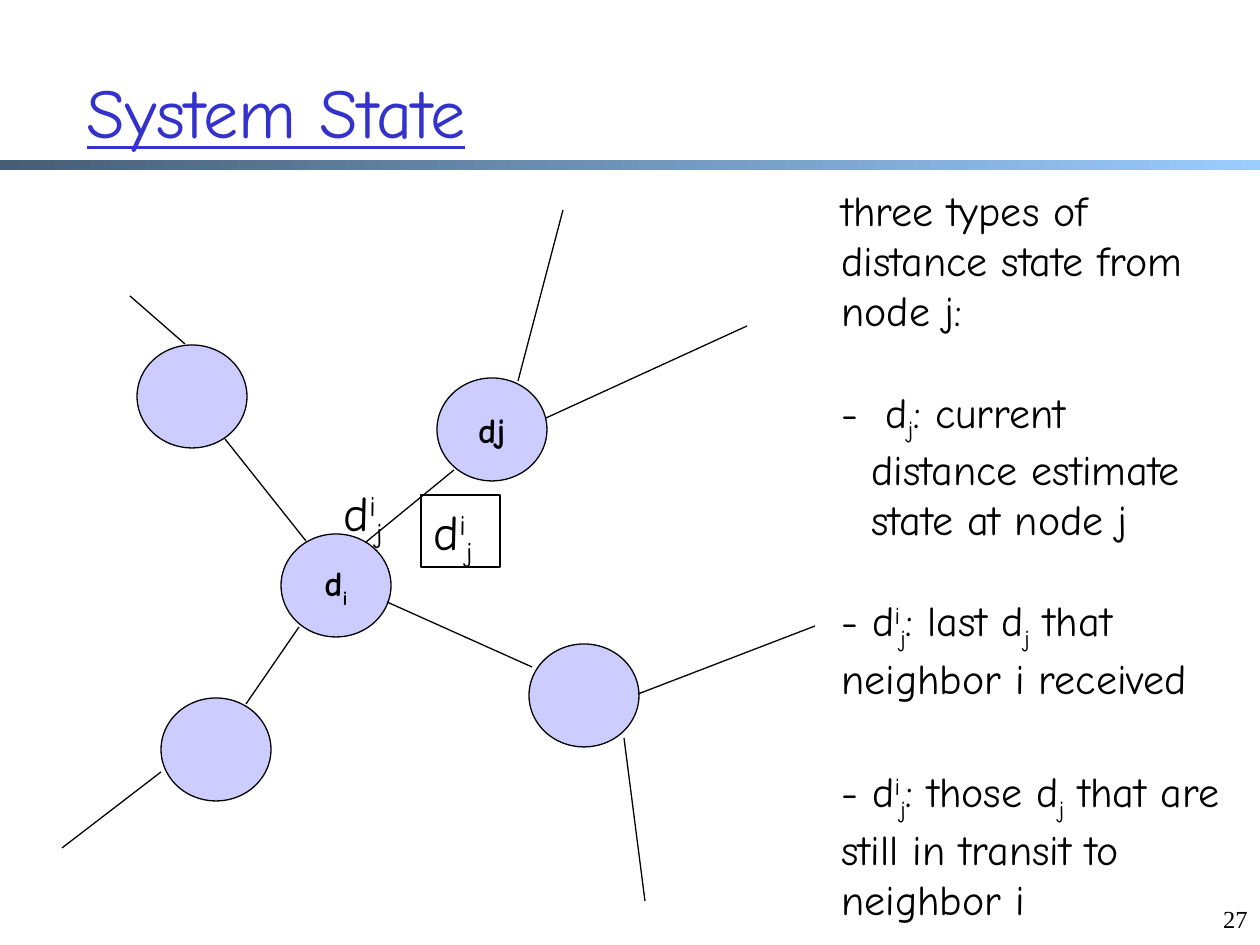
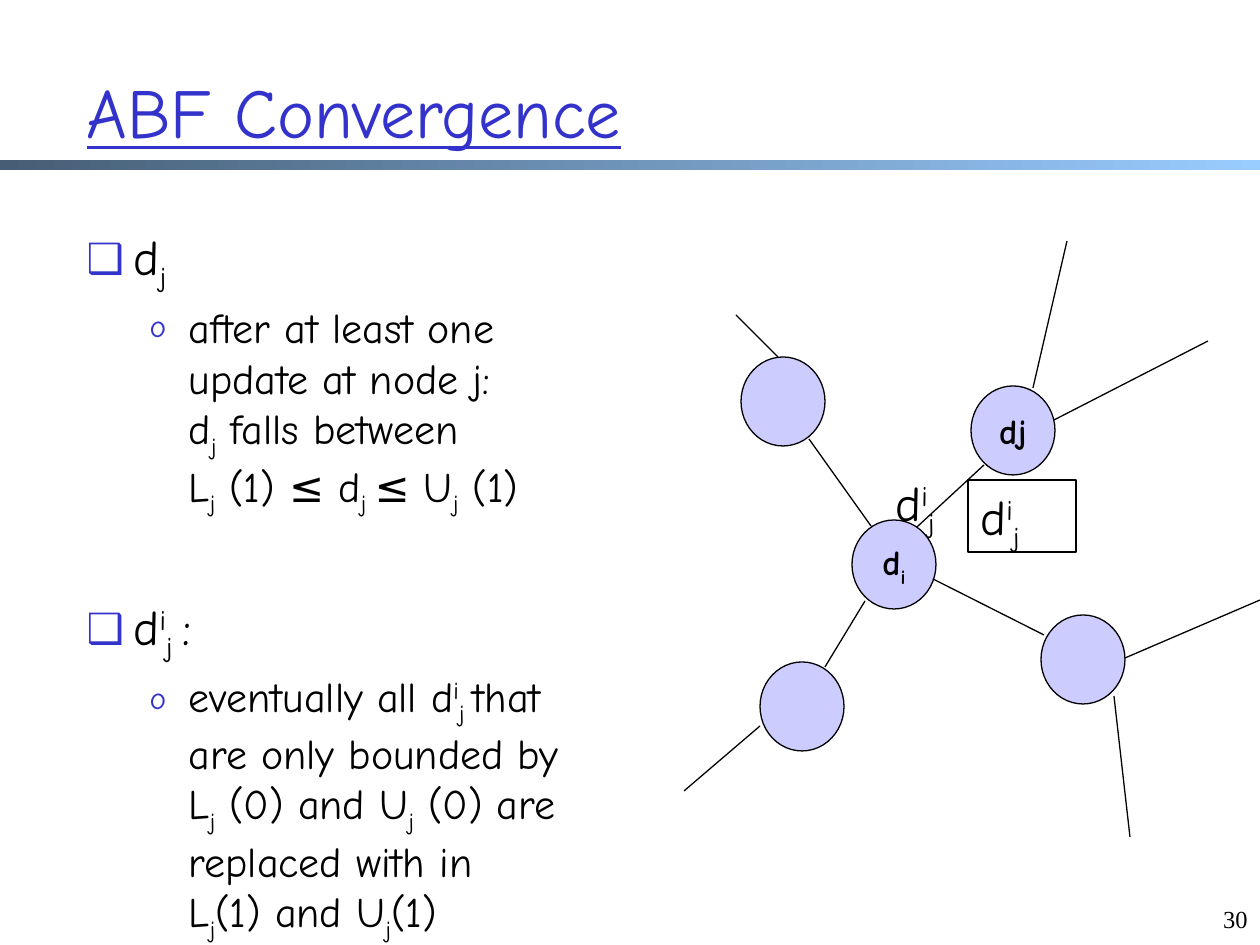
from dataclasses import dataclass
from typing import NamedTuple, Optional

from lxml import etree
from pptx import Presentation
from pptx.dml.color import RGBColor as RGB
from pptx.enum.shapes import MSO_CONNECTOR as CONNECTOR, MSO_SHAPE as SHAPE
from pptx.enum.text import MSO_ANCHOR as ANCHOR, MSO_AUTO_SIZE as AUTO_SIZE, PP_ALIGN as ALIGN
from pptx.oxml.ns import qn
from pptx.util import Emu, Pt

PX_PER_INCH = 126


@dataclass(frozen=True)
class Theme:
    font: str = "Comic Neue"
    number_font: str = "Times New Roman"
    ink: str = "000000"
    accent: str = "3333CC"
    node: str = "CCCCFF"
    band_from: str = "465E75"
    band_to: str = "99CCFF"
    title: int = 40
    large: int = 28
    text: int = 24
    node_label: int = 20
    number: int = 14
    line: float = 0.75


THEME = Theme()


class Box(NamedTuple):
    x: int
    y: int
    w: int
    h: int


class Node(NamedTuple):
    x: int
    y: int
    label: str = ""


class Link(NamedTuple):
    x1: int
    y1: int
    x2: int
    y2: int


class Bullet(NamedTuple):
    char: str
    margin: int
    hang: int
    percent: int = 100
    color: str = THEME.ink


class Para(NamedTuple):
    text: str
    size: int = THEME.text
    before: int = 0
    level: int = 0
    bullet: Optional[Bullet] = None


TITLE_BOX = Box(74, 32, 1106, 158)
BAND_BOX = Box(0, 160, 1260, 10)
NUMBER_BOX = Box(1197, 898, 63, 63)
BODY_BOX = Box(74, 220, 776, 669)
STATE_BOX = Box(829, 178, 403, 741)

# The network is laid out in GRAPH_FRAME and scaled into the frame of each slide.
GRAPH_FRAME = Box(62, 210, 753, 691)
SMALL_GRAPH_FRAME = Box(684, 241, 576, 596)
NODE_W, NODE_H = 110, 103
NODES = [
    Node(281, 534, "d|_i"),
    Node(437, 378, "dj"),
    Node(529, 644),
    Node(161, 698),
    Node(137, 345),
]
LINKS = [
    Link(366, 542, 454, 470),
    Link(306, 541, 225, 439),
    Link(246, 704, 299, 627),
    Link(387, 602, 532, 667),
    Link(518, 381, 563, 210),
    Link(546, 418, 747, 326),
    Link(185, 344, 130, 296),
    Link(161, 772, 62, 848),
    Link(624, 738, 645, 901),
    Link(638, 694, 815, 626),
]
MESSAGE = "d|^i|_j"

DASH = Bullet("-", 30, 30)
SQUARE = Bullet("❑", 47, 47, 85, THEME.accent)
RING = Bullet("o", 102, 39, 75, THEME.accent)

STATES = [
    Para("three types of distance state from node j:"),
    Para(" d|_j|: current distance estimate state at node j", before=29, bullet=DASH),
    Para("- d|^i|_j|: last d|_j| that neighbor i received", before=29),
    Para("- d|^i|_j|: those d|_j| that are still in transit to neighbor i", before=36),
]
CONVERGENCE = [
    Para("d|_j", THEME.large, bullet=SQUARE),
    Para("after at least one \nupdate at node j: \nd|_j| falls between \n"
         "L|_j| (1) ≤ d|_j |≤ U|_j| (1)", before=5, level=1, bullet=RING),
    Para("d|^i|_j |:", THEME.large, before=45, bullet=SQUARE),
    Para("eventually all d|^i|_j |that \nare only bounded by \n"
         "L|_j| (0) and U|_j| (0) are \nreplaced with in\nL|_j|(1) and U|_j|(1)",
         before=4, level=1, bullet=RING),
]


def px(n: int) -> Emu:
    return Emu(round(n * 914400 / PX_PER_INCH))


def place(sp, box: Box) -> None:
    sp.left, sp.top, sp.width, sp.height = map(px, box)


def style_font(font, size: int, color: str = THEME.ink, name: str = THEME.font) -> None:
    font.name, font.size = name, Pt(size)
    font.color.rgb = RGB.from_string(color)


def style_line(line) -> None:
    line.color.rgb = RGB.from_string(THEME.ink)
    line.width = Pt(THEME.line)


def write_rich(p, text: str, size: int, bold: bool = False) -> None:
    """Write runs split at "|"; a leading ^ raises a run and _ lowers it."""
    for part in text.split("|"):
        shift = {"^": "30000", "_": "-25000"}.get(part[0])
        for i, line in enumerate((part[1:] if shift else part).split("\n")):
            if i:
                p.add_line_break()
            if not line:
                continue
            r = p.add_run()
            r.text = line
            style_font(r.font, size)
            r.font.bold = bold
            if shift:
                r.font._element.set("baseline", shift)


def set_bullet(p, bullet: Bullet) -> None:
    pPr = p._p.get_or_add_pPr()
    pPr.set("marL", str(px(bullet.margin)))
    pPr.set("indent", str(-px(bullet.hang)))
    color = etree.SubElement(pPr, qn("a:buClr"))
    etree.SubElement(color, qn("a:srgbClr"), val=bullet.color)
    etree.SubElement(pPr, qn("a:buSzPct"), val=str(bullet.percent * 1000))
    etree.SubElement(pPr, qn("a:buFont"), typeface=THEME.font)
    etree.SubElement(pPr, qn("a:buChar"), char=bullet.char)


def write_paras(tf, paras: list[Para]) -> None:
    tf.word_wrap, tf.auto_size = True, AUTO_SIZE.NONE
    for i, para in enumerate(paras):
        p = tf.add_paragraph() if i else tf.paragraphs[0]
        p.level = para.level
        if para.bullet:
            set_bullet(p, para.bullet)
        p.space_before = Pt(para.before)
        write_rich(p, para.text, para.size)


def add_text(slide, box: Box, paras: list[Para], outlined: bool = False) -> None:
    sp = slide.shapes.add_textbox(*map(px, box))
    write_paras(sp.text_frame, paras)
    if outlined:
        style_line(sp.line)


def add_node(shapes, box: Box, label: str) -> None:
    sp = shapes.add_shape(SHAPE.OVAL, *map(px, box))
    sp.shadow.inherit = False
    sp.fill.solid()
    sp.fill.fore_color.rgb = RGB.from_string(THEME.node)
    style_line(sp.line)
    if label:
        tf = sp.text_frame
        tf.word_wrap, tf.vertical_anchor = False, ANCHOR.MIDDLE
        p = tf.paragraphs[0]
        p.alignment = ALIGN.CENTER
        write_rich(p, label, THEME.node_label, bold=True)


def add_link(shapes, link: Link) -> None:
    line = shapes.add_connector(CONNECTOR.STRAIGHT, *map(px, link))
    style_line(line.line)
    etree.SubElement(line._element.spPr, qn("a:effectLst"))


def add_graph(slide, frame: Box) -> None:
    sx, sy = frame.w / GRAPH_FRAME.w, frame.h / GRAPH_FRAME.h

    def fit(x: int, y: int) -> tuple[int, int]:
        return (round(frame.x + (x - GRAPH_FRAME.x) * sx),
                round(frame.y + (y - GRAPH_FRAME.y) * sy))

    shapes = slide.shapes.add_group_shape().shapes
    for node in NODES:
        box = Box(*fit(node.x, node.y), round(NODE_W * sx), round(NODE_H * sy))
        add_node(shapes, box, node.label)
    for link in LINKS:
        add_link(shapes, Link(*fit(link.x1, link.y1), *fit(link.x2, link.y2)))


def add_messages(slide, received: Box, in_transit: Box) -> None:
    for box, outlined in ((received, False), (in_transit, True)):
        add_text(slide, box, [Para(MESSAGE, THEME.large)], outlined)


def add_slide(prs, layout: int, title: str, number: int):
    slide = prs.slides.add_slide(prs.slide_layouts[layout])
    sp = slide.shapes.title
    place(sp, TITLE_BOX)
    tf = sp.text_frame
    tf.text = title
    tf.word_wrap, tf.auto_size, tf.vertical_anchor = True, AUTO_SIZE.NONE, ANCHOR.MIDDLE
    p = tf.paragraphs[0]
    p.alignment = ALIGN.LEFT
    style_font(p.runs[0].font, THEME.title, THEME.accent)
    p.runs[0].font.underline = True

    tf = slide.shapes.add_textbox(*map(px, NUMBER_BOX)).text_frame
    tf.text, tf.word_wrap = str(number), True
    p = tf.paragraphs[0]
    p.alignment = ALIGN.RIGHT
    style_font(p.runs[0].font, THEME.number, name=THEME.number_font)
    return slide


def move_band_to_master(prs, slide) -> None:
    """Draw the title band on a slide, then move it to the master all slides share."""
    sp = slide.shapes.add_shape(SHAPE.RECTANGLE, *map(px, BAND_BOX))
    sp.shadow.inherit = False
    sp.line.fill.background()
    sp.fill.gradient()
    sp.fill.gradient_angle = 0
    for stop, color in zip(sp.fill.gradient_stops, (THEME.band_from, THEME.band_to)):
        stop.color.rgb = RGB.from_string(color)
    prs.slide_master.shapes.element.append(sp.element)


def build_system_state(prs):
    slide = add_slide(prs, 5, "System State", 27)
    add_graph(slide, GRAPH_FRAME)
    add_messages(slide, Box(331, 476, 79, 72), Box(421, 495, 79, 72))
    add_text(slide, STATE_BOX, STATES)
    return slide


def build_convergence(prs) -> None:
    slide = add_slide(prs, 1, "ABF Convergence", 30)
    body = slide.placeholders[1]
    place(body, BODY_BOX)
    write_paras(body.text_frame, CONVERGENCE)
    add_graph(slide, SMALL_GRAPH_FRAME)
    add_messages(slide, Box(883, 466, 92, 72), Box(968, 480, 108, 72))


def main() -> None:
    prs = Presentation()
    prs.slide_width, prs.slide_height = px(1260), px(945)
    slide = build_system_state(prs)
    build_convergence(prs)
    move_band_to_master(prs, slide)
    prs.save("out.pptx")


if __name__ == "__main__":
    main()
